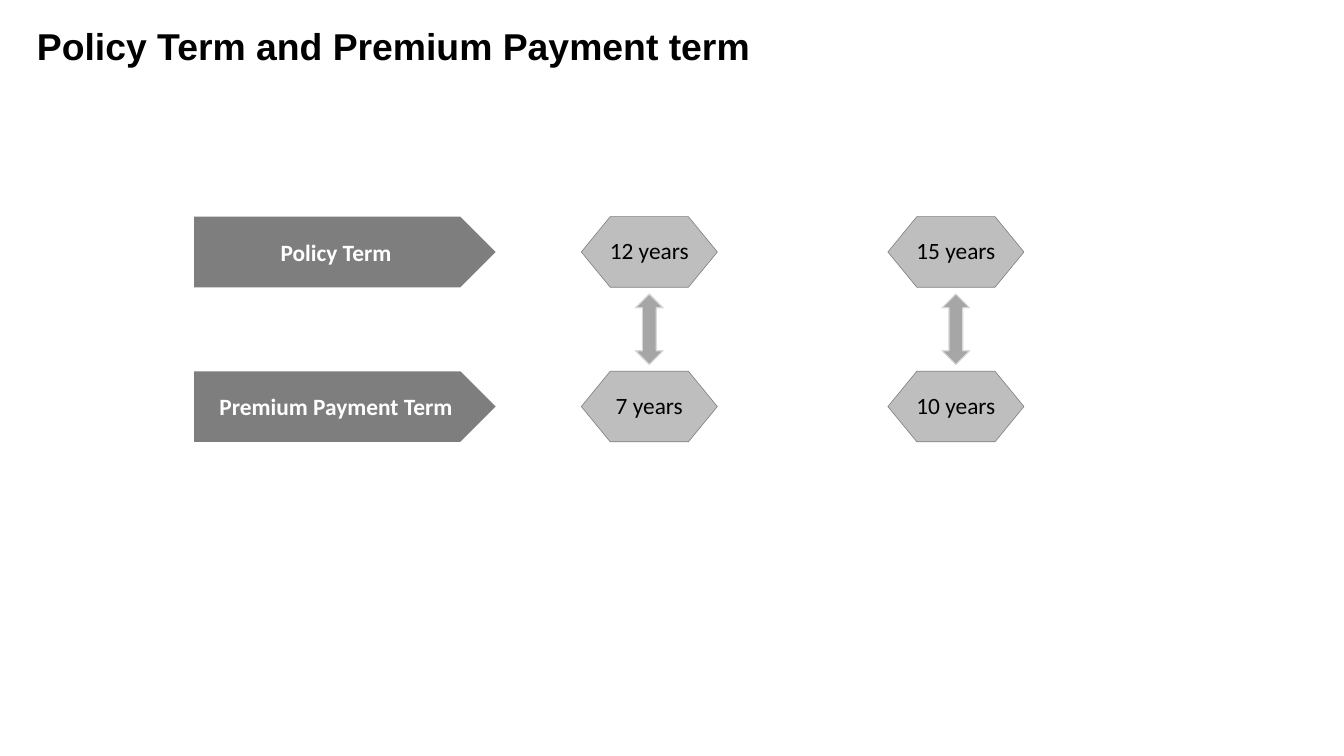
from pptx import Presentation
from pptx.dml.color import RGBColor
from pptx.enum.shapes import MSO_SHAPE
from pptx.enum.text import MSO_ANCHOR, PP_ALIGN
from pptx.util import Inches, Pt

BLACK = RGBColor(0x00, 0x00, 0x00)
WHITE = RGBColor(0xFF, 0xFF, 0xFF)
DARK_GREY = RGBColor(0x7E, 0x7E, 0x7E)
MID_GREY = RGBColor(0xA6, 0xA6, 0xA6)
LIGHT_GREY = RGBColor(0xBE, 0xBE, 0xBE)
PALE_GREY = RGBColor(0xD9, 0xD9, 0xD9)

ROW_HEIGHT = 0.84
ROW_TOPS = (2.58, 4.42)
ROW_LABELS = ("Policy Term", "Premium Payment Term")
LABEL_LEFT, LABEL_WIDTH = 2.31, 3.59
OPTION_LEFT, OPTION_STEP, OPTION_WIDTH = 6.92, 3.65, 1.62
OPTIONS = (("12 years", "7 years"), ("15 years", "10 years"))
ARROW_TOP, ARROW_WIDTH = 3.5, 0.33


def set_text(shape, text, font_name, size, color, bold, alignment):
    """Fill a shape with one line of formatted text without margins."""
    text_frame = shape.text_frame
    text_frame.text = text
    text_frame.word_wrap = False
    text_frame.margin_left = text_frame.margin_right = 0
    text_frame.margin_top = text_frame.margin_bottom = 0
    paragraph = text_frame.paragraphs[0]
    paragraph.alignment = alignment
    font = paragraph.runs[0].font
    font.name = font_name
    font.size = Pt(size)
    font.bold = bold
    font.color.rgb = color


def add_title(slide, text):
    """Add the slide heading."""
    box = slide.shapes.add_textbox(
        Inches(0.44), Inches(0.28), Inches(10.4), Inches(0.52))
    set_text(box, text, "Arial", 32, BLACK, True, PP_ALIGN.LEFT)


def add_block(slide, preset, left, top, width, fill, line=None, line_width=0):
    """Add a filled preset shape of the common row height."""
    shape = slide.shapes.add_shape(
        preset, Inches(left), Inches(top), Inches(width), Inches(ROW_HEIGHT))
    shape.shadow.inherit = False
    shape.fill.solid()
    shape.fill.fore_color.rgb = fill
    if line is None:
        shape.line.fill.background()
    else:
        shape.line.color.rgb = line
        shape.line.width = Pt(line_width)
    return shape


def add_row_label(slide, text, top):
    """Add a pointed label that names a row."""
    label = add_block(slide, MSO_SHAPE.PENTAGON, LABEL_LEFT, top, LABEL_WIDTH, DARK_GREY)
    label.adjustments[0] = 0.5
    set_text(label, text, "Calibri", 20, WHITE, True, PP_ALIGN.CENTER)
    label.text_frame.vertical_anchor = MSO_ANCHOR.MIDDLE


def add_duration(slide, text, left, top):
    """Add a hexagon that shows a number of years."""
    hexagon = add_block(
        slide, MSO_SHAPE.HEXAGON, left, top, OPTION_WIDTH, LIGHT_GREY, DARK_GREY, 0.5)
    hexagon.adjustments[0] = 0.41
    set_text(hexagon, text, "Calibri", 20, BLACK, False, PP_ALIGN.CENTER)
    hexagon.text_frame.vertical_anchor = MSO_ANCHOR.MIDDLE
    hexagon.text_frame.margin_bottom = Inches(0.04)


def add_option(slide, durations, left):
    """Add a policy term and its payment term joined by a double arrow."""
    for duration, top in zip(durations, ROW_TOPS):
        add_duration(slide, duration, left, top)
    arrow_left = left + (OPTION_WIDTH - ARROW_WIDTH) / 2
    add_block(slide, MSO_SHAPE.UP_DOWN_ARROW, arrow_left, ARROW_TOP, ARROW_WIDTH,
              MID_GREY, PALE_GREY, 1)


def main():
    """Build the slide and save it."""
    presentation = Presentation()
    presentation.slide_width = Inches(16)
    presentation.slide_height = Inches(9)
    slide = presentation.slides.add_slide(presentation.slide_layouts[6])
    add_title(slide, "Policy Term and Premium Payment term")
    for label, top in zip(ROW_LABELS, ROW_TOPS):
        add_row_label(slide, label, top)
    for index, durations in enumerate(OPTIONS):
        add_option(slide, durations, OPTION_LEFT + index * OPTION_STEP)
    presentation.save("out.pptx")


if __name__ == "__main__":
    main()
